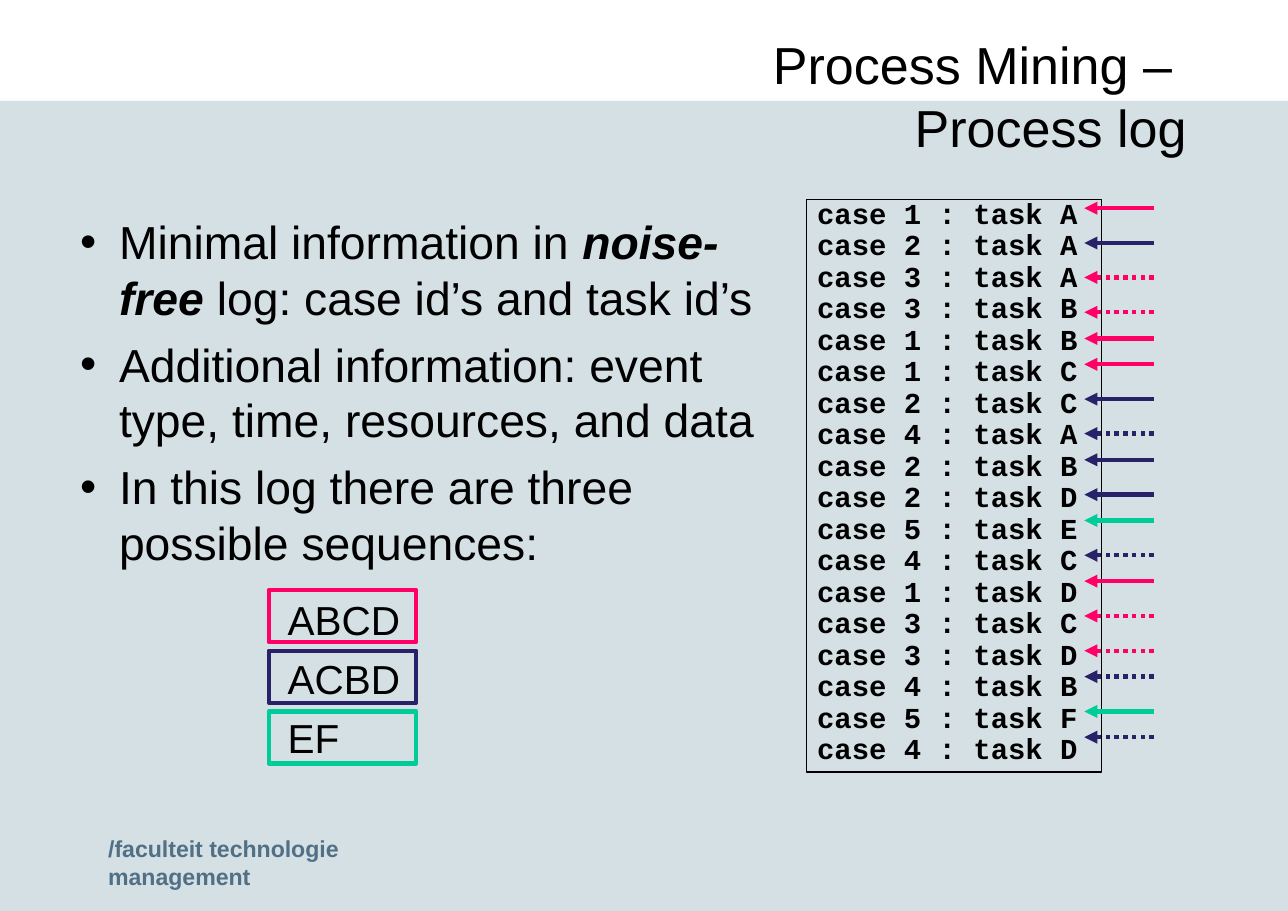
from dataclasses import dataclass
from typing import NamedTuple

from lxml import etree
from pptx import Presentation
from pptx.dml.color import RGBColor
from pptx.enum.dml import MSO_LINE_DASH_STYLE
from pptx.enum.shapes import MSO_CONNECTOR, MSO_SHAPE
from pptx.enum.text import MSO_ANCHOR, MSO_AUTO_SIZE, PP_ALIGN
from pptx.oxml.ns import qn
from pptx.util import Cm, Pt

RECTANGLE = MSO_SHAPE.RECTANGLE
STRAIGHT = MSO_CONNECTOR.STRAIGHT
DOTTED = MSO_LINE_DASH_STYLE.ROUND_DOT
LEFT, RIGHT = PP_ALIGN.LEFT, PP_ALIGN.RIGHT
TOP, MIDDLE = MSO_ANCHOR.TOP, MSO_ANCHOR.MIDDLE
NO_AUTOFIT = MSO_AUTO_SIZE.NONE


@dataclass(frozen=True)
class Theme:
    sans: str = "Arial"
    mono: str = "Courier New"
    text: str = "000000"
    panel: str = "D5E0E5"
    footer: str = "516F85"
    pink: str = "FF0066"
    navy: str = "282368"
    green: str = "00CC99"
    title_size: int = 36
    body_size: int = 32
    sequence_size: int = 28
    log_size: int = 20
    footer_size: int = 16


class Box(NamedTuple):
    left: float
    top: float
    width: float
    height: float


class Sequence(NamedTuple):
    tasks: str
    color: str


class CaseStyle(NamedTuple):
    color: str
    dotted: bool


class Event(NamedTuple):
    case: int
    task: str
    arrow_y: float


THEME = Theme()

SEQUENCES = [
    Sequence("ABCD", THEME.pink),
    Sequence("ACBD", THEME.navy),
    Sequence("EF", THEME.green),
]

# Each case takes the colour of its sequence
CASES = {
    1: CaseStyle(THEME.pink, False),
    2: CaseStyle(THEME.navy, False),
    3: CaseStyle(THEME.pink, True),
    4: CaseStyle(THEME.navy, True),
    5: CaseStyle(THEME.green, False),
}

EVENTS = [
    Event(1, "A", 5.08), Event(2, "A", 5.93), Event(3, "A", 6.77),
    Event(3, "B", 7.62), Event(1, "B", 8.26), Event(1, "C", 8.89),
    Event(2, "C", 9.74), Event(4, "A", 10.58), Event(2, "B", 11.22),
    Event(2, "D", 12.07), Event(5, "E", 12.7), Event(4, "C", 13.55),
    Event(1, "D", 14.18), Event(3, "C", 15.03), Event(3, "D", 15.88),
    Event(4, "B", 16.51), Event(5, "F", 17.36), Event(4, "D", 17.99),
]

# Runs of each bullet, with a flag for emphasis
BULLETS = [
    [("Minimal information in ", False), ("noise-free", True),
     (" log: case id’s and task id’s", False)],
    [("Additional information: event type, time, resources, and data", False)],
    [("In this log there are three possible sequences:", False)],
]

ARROW_FROM, ARROW_TO = 28.15, 26.46
SEQUENCE_TOP, SEQUENCE_STEP = 14.4, 1.48


def place(sp, box: Box) -> None:
    sp.left, sp.top, sp.width, sp.height = (Cm(v) for v in box)


def style(p, size: int, color: str = THEME.text, name: str = THEME.sans,
          bold: bool = False, align=LEFT) -> None:
    p.alignment = align
    p.font.size, p.font.name, p.font.bold = Pt(size), name, bold
    p.font.color.rgb = RGBColor.from_string(color)


def indent(p, margin: float, hanging: float) -> None:
    pPr = p._p.get_or_add_pPr()
    pPr.set("marL", str(Cm(margin)))
    pPr.set("indent", str(-Cm(hanging)))


def add_rectangle(s, box: Box, line: str | None = None, width: float = 3,
                  fill: str | None = None):
    sp = s.shapes.add_shape(RECTANGLE, *(Cm(v) for v in box))
    sp.shadow.inherit = False
    if fill:
        sp.fill.solid()
        sp.fill.fore_color.rgb = RGBColor.from_string(fill)
    else:
        sp.fill.background()
    if line:
        sp.line.color.rgb = RGBColor.from_string(line)
        sp.line.width = Pt(width)
    else:
        sp.line.fill.background()
    return sp


def add_text(s, box: Box, wrap: bool = True):
    tf = s.shapes.add_textbox(*(Cm(v) for v in box)).text_frame
    tf.word_wrap = wrap
    return tf


def add_arrow(s, y: float, case: CaseStyle) -> None:
    arrow = s.shapes.add_connector(STRAIGHT, Cm(ARROW_FROM), Cm(y), Cm(ARROW_TO), Cm(y))
    arrow.line.color.rgb = RGBColor.from_string(case.color)
    arrow.line.width = Pt(3)
    if case.dotted:
        arrow.line.dash_style = DOTTED
    spPr = arrow.element.spPr
    etree.SubElement(spPr.find(qn("a:ln")), qn("a:tailEnd"), type="triangle")
    etree.SubElement(spPr, qn("a:effectLst"))


def main() -> None:
    prs = Presentation()
    prs.slide_width, prs.slide_height = Cm(31.43), Cm(22.23)
    s = prs.slides.add_slide(prs.slide_layouts[1])

    # Background panel, behind the placeholders
    panel = add_rectangle(s, Box(0, 2.46, 31.43, 19.77), fill=THEME.panel)
    s.shapes.element.insert(2, panel.element)

    # Footer
    tf = add_text(s, Box(2.39, 20.24, 9.75, 0.94), wrap=False)
    tf.text = "/faculteit technologie management"
    style(tf.paragraphs[0], THEME.footer_size, THEME.footer, bold=True)

    # Title
    title = s.shapes.title
    place(title, Box(2.49, 0.84, 26.72, 2.97))
    tf = title.text_frame
    tf.text = "Process Mining – \vProcess log"
    tf.auto_size, tf.vertical_anchor = NO_AUTOFIT, MIDDLE
    style(tf.paragraphs[0], THEME.title_size, align=RIGHT)

    # Bullet list
    body = s.placeholders[1]
    place(body, Box(1.7, 5.08, 17.35, 9.32))
    tf = body.text_frame
    tf.auto_size, tf.vertical_anchor = NO_AUTOFIT, TOP
    for i, runs in enumerate(BULLETS):
        p = tf.add_paragraph() if i else tf.paragraphs[0]
        style(p, THEME.body_size)
        p.space_before = Pt(8)
        indent(p, 0.95, 0.95)
        for text, emphasis in runs:
            r = p.add_run()
            r.text = text
            if emphasis:
                r.font.bold = r.font.italic = True

    # Sequences and their frames
    tf = add_text(s, Box(5.5, SEQUENCE_TOP, 7.2, 4.24))
    tf.text = "\n".join(sequence.tasks for sequence in SEQUENCES)
    for i, (p, sequence) in enumerate(zip(tf.paragraphs, SEQUENCES)):
        style(p, THEME.sequence_size)
        p.space_before = Pt(7)
        indent(p, 2.06, 0.79)
        top = SEQUENCE_TOP + i * SEQUENCE_STEP
        add_rectangle(s, Box(6.56, top, 3.6, 1.27), sequence.color)

    # Process log with one arrow per event
    log = add_rectangle(s, Box(19.69, 4.87, 7.2, 13.97), THEME.text, 0.75)
    tf = log.text_frame
    tf.word_wrap, tf.vertical_anchor = True, TOP
    tf.text = "\n".join(f"case {e.case} : task {e.task}" for e in EVENTS)
    for p, event in zip(tf.paragraphs, EVENTS):
        style(p, THEME.log_size, name=THEME.mono, bold=True)
        p.line_spacing, p.space_before = 0.7, Pt(5)
        indent(p, 0.79, 0.79)
        add_arrow(s, event.arrow_y, CASES[event.case])

    prs.save("out.pptx")


if __name__ == "__main__":
    main()
